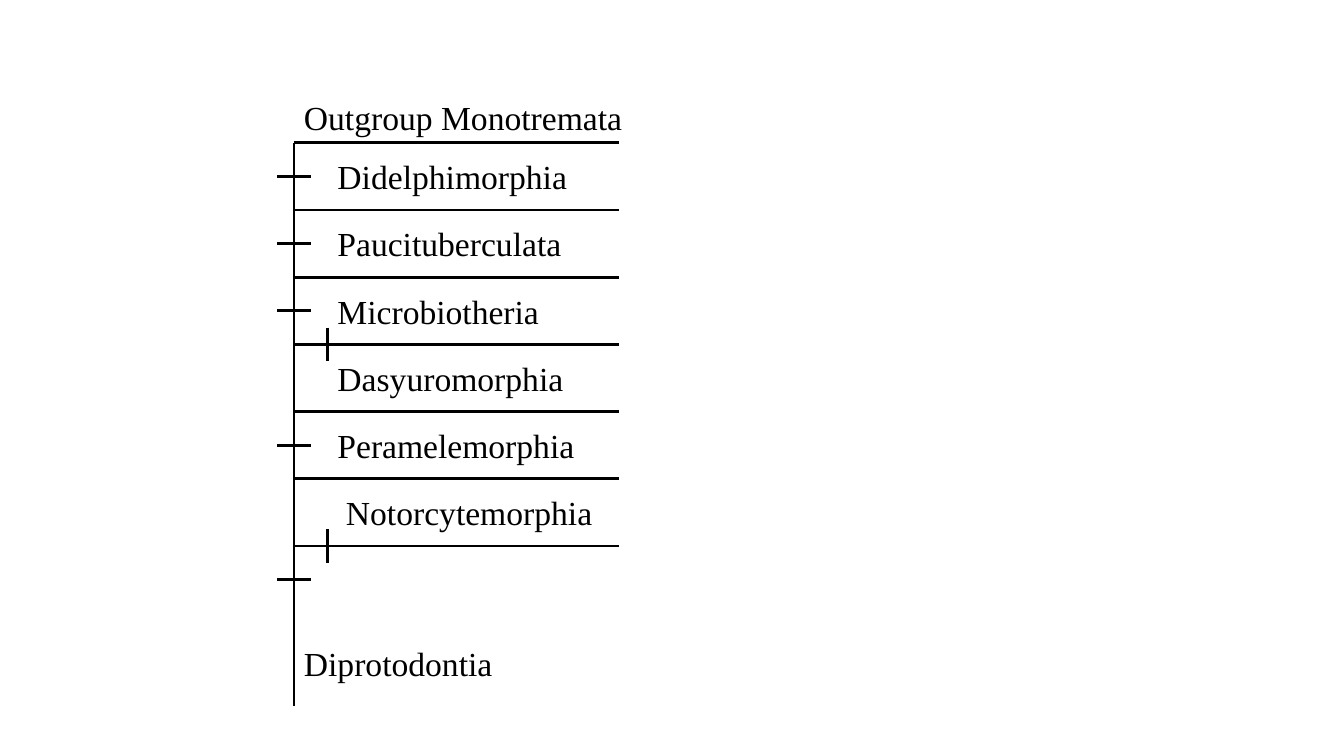
from lxml import etree
from pptx import Presentation
from pptx import util as u
from pptx.dml.color import RGBColor
from pptx.enum import shapes, text
from pptx.oxml.ns import qn

PX = u.Inches(1) // 96
BLACK = RGBColor(0, 0, 0)
FONT = "Times New Roman"

STEP = 64
TICK = 32
LABEL_HEIGHT = 48
OUTGROUP = "Outgroup Monotremata"
ORDERS = ["Didelphimorphia", "Paucituberculata", "Microbiotheria",
          "Dasyuromorphia", "Peramelemorphia", "Notorcytemorphia"]
LAST_ORDER = "Diprotodontia"
TRUNK_TICKS = [0, 1, 2, 4, 6]
BRANCH_TICKS = [3, 6]


def add_line(slide, x1, y1, x2, y2):
    line = slide.shapes.add_connector(
        shapes.MSO_CONNECTOR.STRAIGHT, x1 * PX, y1 * PX, x2 * PX, y2 * PX)
    line.line.color.rgb = BLACK
    line.line.width = u.Pt(2)
    etree.SubElement(line._element.spPr, qn("a:effectLst"))


def add_label(slide, name, left, top, width=336):
    label = slide.shapes.add_textbox(
        left * PX, top * PX, width * PX, LABEL_HEIGHT * PX)
    frame = label.text_frame
    frame.word_wrap = True
    frame.auto_size = text.MSO_AUTO_SIZE.SHAPE_TO_FIT_TEXT
    paragraph = frame.paragraphs[0]
    spacing = etree.SubElement(paragraph._p.get_or_add_pPr(), qn("a:spcBef"))
    etree.SubElement(spacing, qn("a:spcPct"), val="50000")
    run = paragraph.add_run()
    run.text = name
    run.font.name = FONT
    run.font.size = u.Pt(24)
    run.font.color.rgb = BLACK


def add_branches(slide, left, top, width, height):
    add_line(slide, left, top, left, top + height)
    for level in range(len(ORDERS) + 1):
        y = top + level * STEP
        add_line(slide, left, y, left + width, y)


def add_ticks(slide, left, top):
    half = TICK // 2
    for level in TRUNK_TICKS:
        y = top + level * STEP + STEP // 2
        add_line(slide, left - half, y, left + half, y)
    for level in BRANCH_TICKS:
        x, y = left + TICK, top + level * STEP
        add_line(slide, x, y - half, x, y + half)


def add_names(slide, left, top, height):
    add_label(slide, OUTGROUP, left, top - LABEL_HEIGHT)
    for level, order in enumerate(ORDERS):
        indent = 40 if order == ORDERS[-1] else 32
        add_label(slide, order, left + indent, top + 8 + level * STEP)
    add_label(slide, LAST_ORDER, left, top + height - STEP, 224)


def add_cladogram(slide, left, top, width, height):
    add_branches(slide, left, top, width, height)
    add_ticks(slide, left, top)
    add_names(slide, left, top, height)


def main():
    deck = Presentation()
    deck.slide_width = 1280 * PX
    deck.slide_height = 720 * PX
    slide = deck.slides.add_slide(deck.slide_layouts[6])
    add_cladogram(slide, 280, 136, 310, 536)
    deck.save("out.pptx")


if __name__ == "__main__":
    main()
